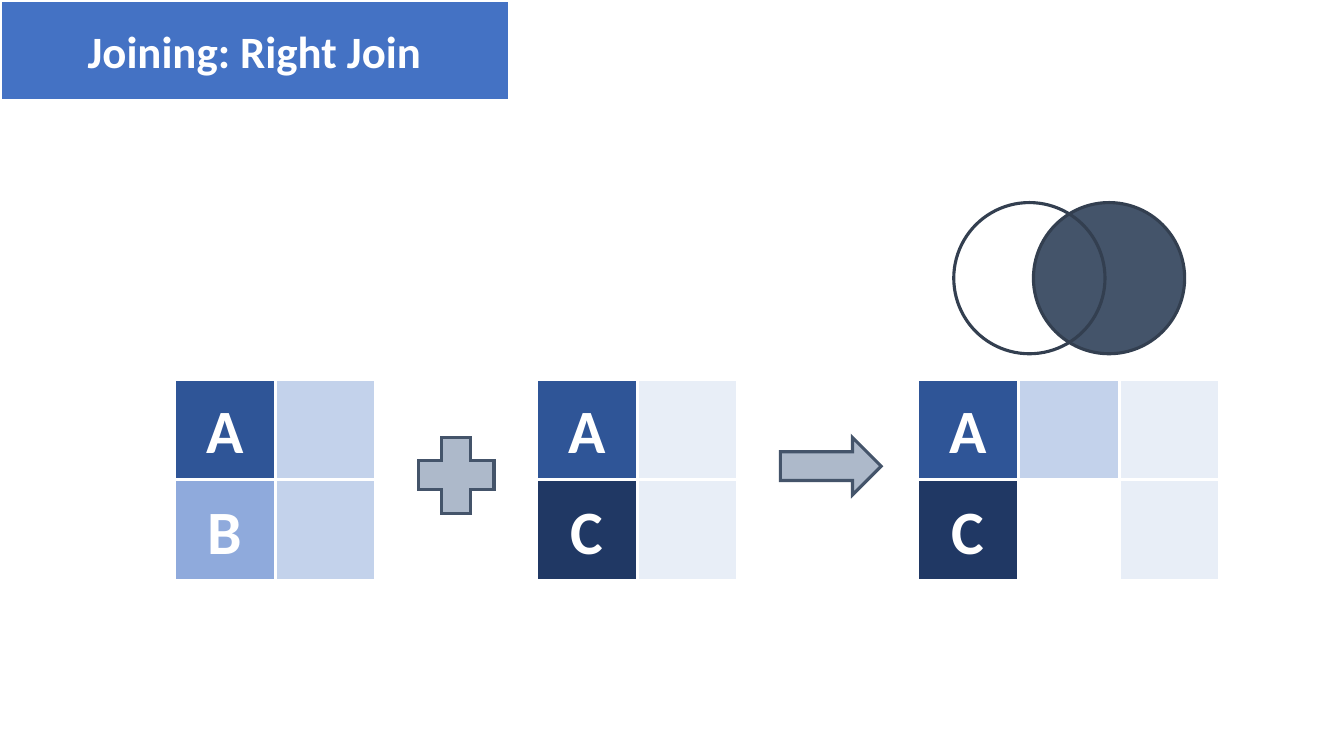
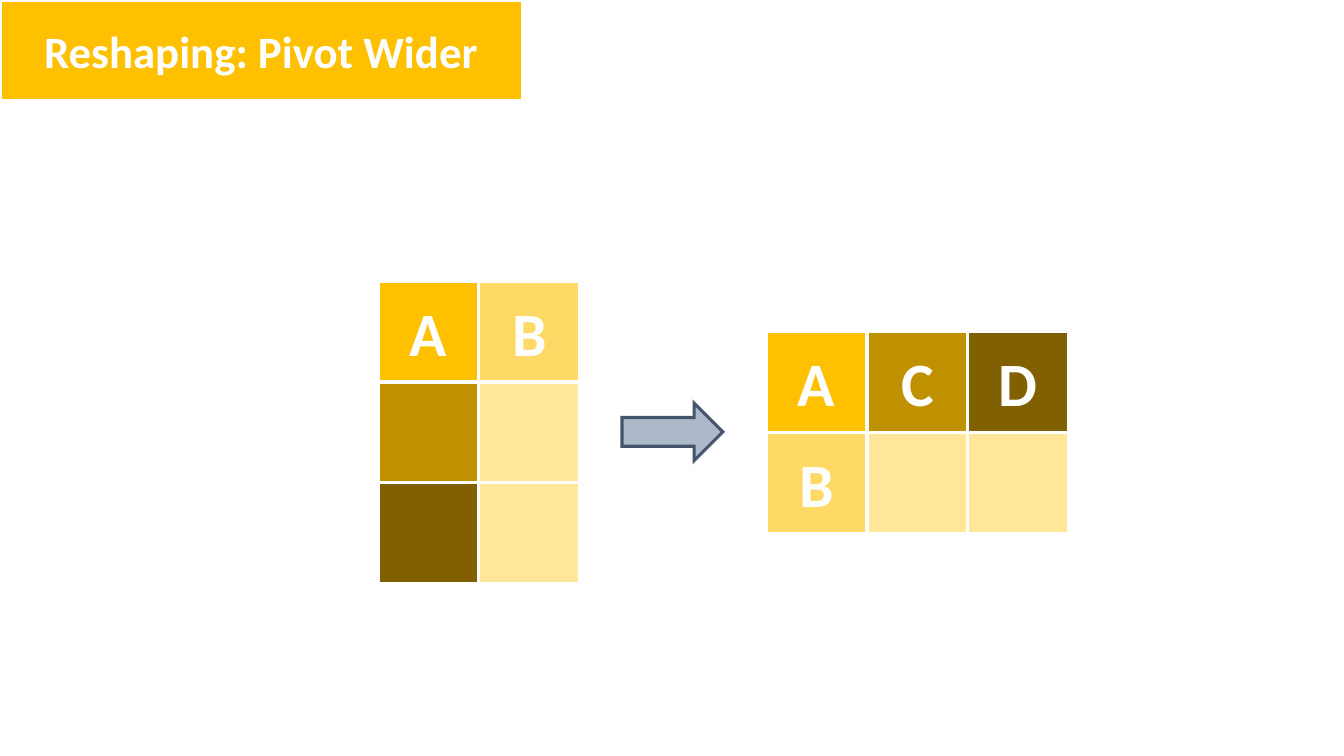
from dataclasses import dataclass
from typing import Any, Optional

from lxml.etree import SubElement
from pptx import Presentation
from pptx.dml.color import RGBColor
from pptx.enum.shapes import MSO_SHAPE
from pptx.enum.text import MSO_ANCHOR, PP_ALIGN
from pptx.oxml.ns import qn
from pptx.util import Inches, Pt

UNIT = Inches(1)  # one grid column or row
COLUMNS, ROWS = 13.33, 7.5


@dataclass(frozen=True)
class Theme:
    """Colours, font and sizes shared by the slides."""
    white: str = "FFFFFF"
    join: str = "4472C4"
    reshape: str = "FFC000"
    symbol: str = "ADB9CA"
    slate: str = "44546A"
    slate_dark: str = "333F50"
    font: str = "Calibri"
    title_size: int = 32
    letter_size: int = 44
    line_width: float = 2.25


@dataclass(frozen=True)
class Box:
    """Place and size in grid columns and rows."""
    column: float
    row: float
    width: float = 1
    height: float = 1


@dataclass(frozen=True)
class Cell:
    """Fill, letter and opacity (percent) of one table square."""
    fill: str
    letter: str = ""
    opacity: int = 100


@dataclass(frozen=True)
class Block:
    """Squares in rows, starting at a column and row of the slide."""
    column: float
    row: float
    cells: tuple[tuple[Optional[Cell], ...], ...]


THEME = Theme()

KEY_A = Cell("2F5597", "A")
KEY_B = Cell("8FAADC", "B")
KEY_C = Cell("203864", "C")
LEFT_VALUE = Cell("B4C7E7", opacity=80)
RIGHT_VALUE = Cell("DAE3F3", opacity=60)
JOIN_BLOCKS = (
    Block(1.73, 3.76, ((KEY_A, LEFT_VALUE), (KEY_B, LEFT_VALUE))),
    Block(5.32, 3.76, ((KEY_A, RIGHT_VALUE), (KEY_C, RIGHT_VALUE))),
    Block(9.1, 3.76, ((KEY_A, LEFT_VALUE, RIGHT_VALUE), (KEY_C, None, RIGHT_VALUE))),
)

HEAD_A = Cell(THEME.reshape, "A")
HEAD_B = Cell("FFD966", "B")
NAME_C, NAME_D = "BF9000", "806000"
VALUE = Cell("FFE699")
PIVOT_BLOCKS = (
    Block(3.75, 2.79, ((HEAD_A, HEAD_B), (Cell(NAME_C), VALUE), (Cell(NAME_D), VALUE))),
    Block(7.6, 3.29, ((HEAD_A, Cell(NAME_C, "C"), Cell(NAME_D, "D")), (HEAD_B, VALUE, VALUE))),
)


def write_text(shape: Any, text: str, *, size: int, color: str = THEME.white,
               bold: bool = True) -> None:
    """Write one centred line into a shape."""
    frame = shape.text_frame
    frame.word_wrap = True
    frame.vertical_anchor = MSO_ANCHOR.MIDDLE
    paragraph = frame.paragraphs[0]
    paragraph.alignment = PP_ALIGN.CENTER
    run = paragraph.add_run()
    run.text = text
    run.font.name = THEME.font
    run.font.size = Pt(size)
    run.font.bold = bold
    run.font.color.rgb = RGBColor.from_string(color)


def add_figure(shapes: Any, kind: MSO_SHAPE, box: Box, *, fill: Optional[str] = None,
               line: str = THEME.white, opacity: int = 100) -> Any:
    """Add an outlined preset shape; without a fill it is hollow."""
    shape = shapes.add_shape(kind, *(round(length * UNIT) for length in
                                     (box.column, box.row, box.width, box.height)))
    shape.shadow.inherit = False
    if fill is None:
        shape.fill.background()
    else:
        shape.fill.solid()
        shape.fill.fore_color.rgb = RGBColor.from_string(fill)
    if opacity < 100:
        color = shape.element.spPr.find(qn("a:solidFill"))[0]
        SubElement(color, qn("a:alpha"), val=str(opacity * 1000))
    shape.line.color.rgb = RGBColor.from_string(line)
    shape.line.width = Pt(THEME.line_width)
    SubElement(shape.element.spPr.find(qn("a:ln")), qn("a:miter"), lim="800000")
    return shape


def add_title(slide: Any, text: str, width: float, fill: str) -> None:
    """Add the title band in the top left corner."""
    band = add_figure(slide.shapes, MSO_SHAPE.RECTANGLE, Box(0, 0, width), fill=fill)
    write_text(band, text, size=THEME.title_size)


def add_block(slide: Any, block: Block) -> None:
    """Draw the squares of a block, leaving out missing ones."""
    for row, cells in enumerate(block.cells):
        for column, cell in enumerate(cells):
            if cell is None:
                continue
            box = Box(block.column + column, block.row + row)
            square = add_figure(slide.shapes, MSO_SHAPE.RECTANGLE, box,
                                fill=cell.fill, opacity=cell.opacity)
            if cell.letter:
                write_text(square, cell.letter, size=THEME.letter_size)


def add_symbol(slide: Any, kind: MSO_SHAPE, box: Box) -> Any:
    """Add a grey operator between two blocks."""
    return add_figure(slide.shapes, kind, box, fill=THEME.symbol, line=THEME.slate)


def add_arrow(slide: Any, column: float, row: float) -> None:
    """Add the arrow that leads to the result."""
    add_symbol(slide, MSO_SHAPE.RIGHT_ARROW, Box(column, row, 1, 0.57))


def add_venn(slide: Any) -> None:
    """Add two overlapping circles with the right one filled."""
    group = slide.shapes.add_group_shape()
    for column, fill in ((10.25, THEME.slate), (9.46, None)):
        add_figure(group.shapes, MSO_SHAPE.OVAL, Box(column, 2.01, 1.5, 1.5),
                   fill=fill, line=THEME.slate_dark)


def start_slide(presentation: Any, title: str, width: float, fill: str,
                blocks: tuple[Block, ...]) -> Any:
    """Add a blank slide with its title band and blocks."""
    slide = presentation.slides.add_slide(presentation.slide_layouts[6])
    add_title(slide, title, width, fill)
    for block in blocks:
        add_block(slide, block)
    return slide


def build_join(presentation: Any) -> None:
    """Build the right join slide."""
    slide = start_slide(presentation, "Joining: Right Join", 5.05, THEME.join, JOIN_BLOCKS)
    add_venn(slide)
    plus = add_symbol(slide, MSO_SHAPE.CROSS, Box(4.15, 4.34, 0.75, 0.75))
    plus.adjustments[0] = 0.31
    add_arrow(slide, 7.74, 4.34)


def build_pivot(presentation: Any) -> None:
    """Build the pivot wider slide."""
    slide = start_slide(presentation, "Reshaping: Pivot Wider", 5.18, THEME.reshape, PIVOT_BLOCKS)
    add_arrow(slide, 6.17, 4)


def main() -> None:
    """Build and save the presentation."""
    presentation = Presentation()
    presentation.slide_width = round(COLUMNS * UNIT)
    presentation.slide_height = round(ROWS * UNIT)
    build_join(presentation)
    build_pivot(presentation)
    presentation.save("out.pptx")


main()
